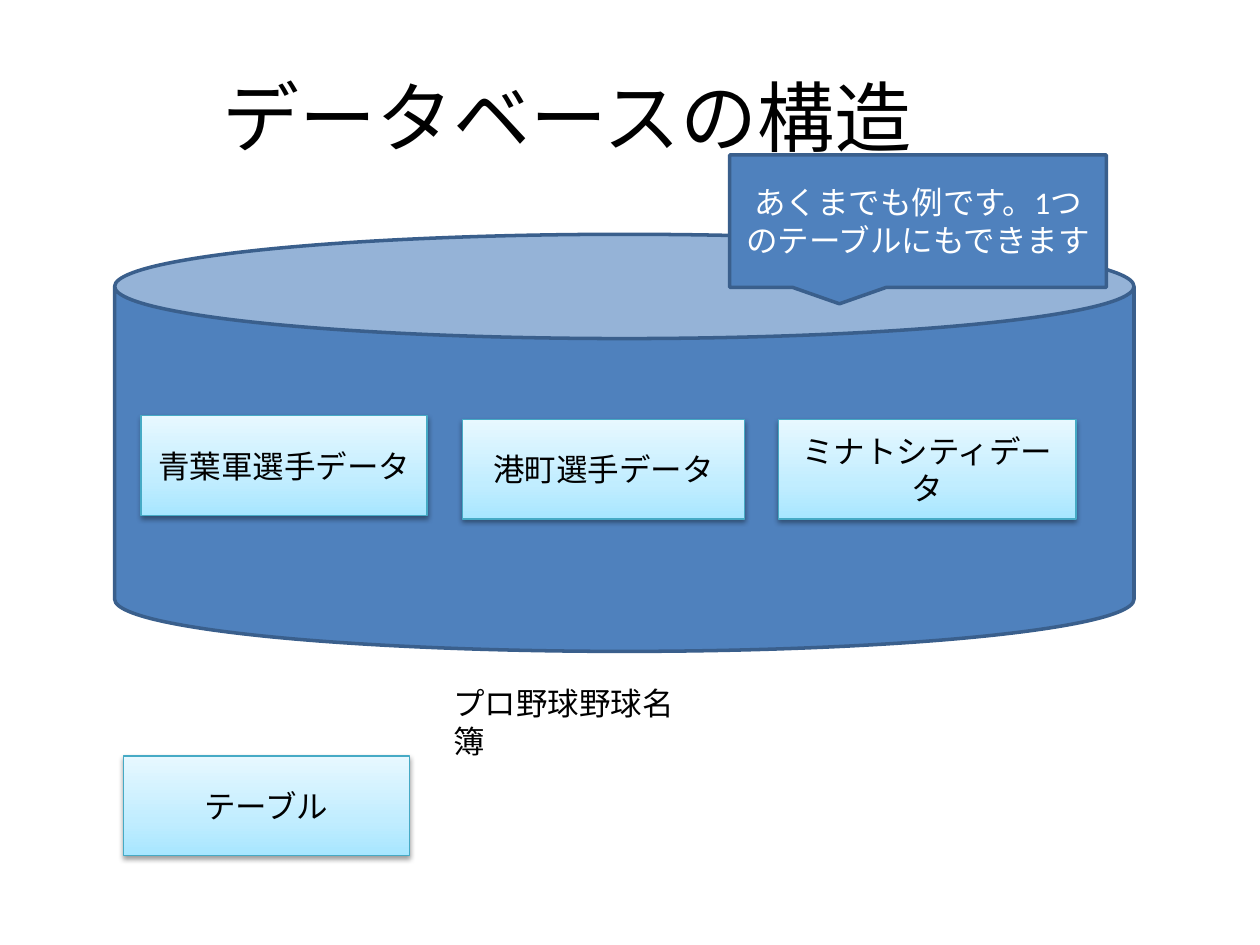
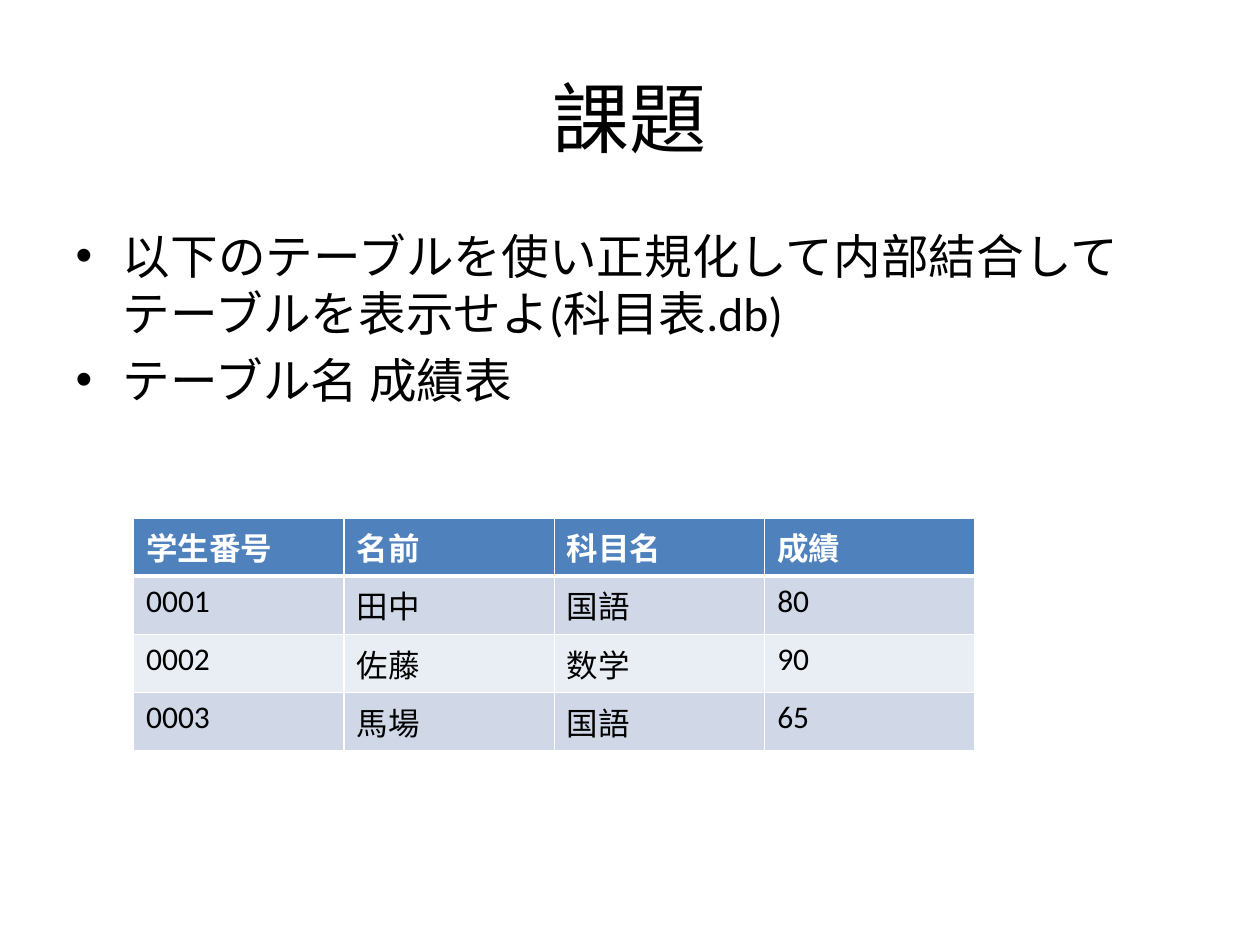
from lxml.etree import SubElement
from pptx import Presentation
from pptx.dml.color import RGBColor
from pptx.enum.shapes import MSO_SHAPE
from pptx.enum.text import MSO_ANCHOR, MSO_AUTO_SIZE, PP_ALIGN
from pptx.oxml.ns import qn
from pptx.util import Inches, Pt

FONT = "Calibri"
COLORS = {
    "text": "000000", "white": "FFFFFF", "blue": "4F81BD", "blue_edge": "3A5F8C",
    "card_edge": "46AAC5", "odd_row": "D0D8E8", "even_row": "E9EDF4",
}
CARD_GRADIENT = [(0, "A7E6FF"), (35, "C1EDFF"), (100, "E7F8FF")]
TITLE_SIZE, BODY_SIZE, TEXT_SIZE = 44, 27.2, 18
CARD_HEIGHT = 0.79

STRUCTURE_TITLE = "データベースの構造"
DATABASE_AREA = (0.91, 1.86, 8.09, 3.31)
DATABASE_NAME = "プロ野球野球名簿"
CALLOUT = "あくまでも例です。1つのテーブルにもできます"
CARDS = [  # text, left, top, width
    ("青葉軍選手データ", 1.12, 3.3, 2.27),
    ("港町選手データ", 3.67, 3.33, 2.24),
    ("ミナトシティデータ", 6.18, 3.33, 2.36),
    ("テーブル", 0.98, 6, 2.27),
]

TASK_TITLE = "課題"
TASKS = [
    "以下のテーブルを使い正規化して内部結合してテーブルを表示せよ(科目表.db)",
    "テーブル名 成績表",
]
GRADES = [
    ("学生番号", "名前", "科目名", "成績"),
    ("0001", "田中", "国語", "80"),
    ("0002", "佐藤", "数学", "90"),
    ("0003", "馬場", "国語", "65"),
]
COLUMN_WIDTH, ROW_HEIGHT = 1.67, 0.41


def rgb(name):
    return RGBColor.from_string(COLORS[name])


def add_color(parent, value):
    return SubElement(parent, qn("a:srgbClr"), val=value)


def write(frame, paragraphs, size=TEXT_SIZE, color="text", align=None, bold=None):
    frame.text = "\n".join(paragraphs)
    for para in frame.paragraphs:
        para.alignment = align
        for span in para.runs:
            span.font.name = FONT
            span.font.size = Pt(size)
            span.font.bold = bold
            span.font.color.rgb = rgb(color)


def place(shape, left, top, width, height):
    shape.left, shape.top = Inches(left), Inches(top)
    shape.width, shape.height = Inches(width), Inches(height)


def add_titled_slide(deck, layout, title, left, top):
    page = deck.slides.add_slide(deck.slide_layouts[layout])
    place(page.shapes.title, left, top, 9, 1.25)
    frame = page.shapes.title.text_frame
    write(frame, [title], TITLE_SIZE, align=PP_ALIGN.CENTER)
    frame.vertical_anchor = MSO_ANCHOR.MIDDLE
    frame.auto_size = MSO_AUTO_SIZE.NONE
    return page


def add_box(page, kind, area, edge, edge_width, text=None, color="text"):
    box = page.shapes.add_shape(kind, *map(Inches, area))
    box.shadow.inherit = False
    box.fill.solid()
    box.fill.fore_color.rgb = rgb("blue")
    box.line.color.rgb = rgb(edge)
    box.line.width = Pt(edge_width)
    if text:
        write(box.text_frame, [text], color=color, align=PP_ALIGN.CENTER)
        box.text_frame.vertical_anchor = MSO_ANCHOR.MIDDLE
    return box


def add_card(page, text, left, top, width):
    """Add a box with a pale upward gradient and a soft shadow below."""
    area = (left, top, width, CARD_HEIGHT)
    card = add_box(page, MSO_SHAPE.RECTANGLE, area, "card_edge", 0.75, text)
    card.fill.gradient()
    card.fill.gradient_angle = 90
    properties = card._element.spPr
    stops = properties.find(qn("a:gradFill")).find(qn("a:gsLst"))
    for stop in list(stops):
        stops.remove(stop)
    for position, value in CARD_GRADIENT:
        add_color(SubElement(stops, qn("a:gs"), pos=str(position * 1000)), value)
    shadow = SubElement(
        properties.find(qn("a:effectLst")), qn("a:outerShdw"),
        blurRad=str(Pt(3.1)), dist=str(Pt(1.6)), dir="5400000", rotWithShape="0")
    SubElement(add_color(shadow, COLORS["text"]), qn("a:alpha"), val="38000")


def set_borders(cell, bottom_width):
    properties = cell._tc.get_or_add_tcPr()
    for side, width in (("L", 1), ("R", 1), ("T", 1), ("B", bottom_width)):
        line = SubElement(properties, qn(f"a:ln{side}"), w=str(Pt(width)))
        add_color(SubElement(line, qn("a:solidFill")), COLORS["white"])


def add_grades(page, left, top):
    rows, columns = len(GRADES), len(GRADES[0])
    table = page.shapes.add_table(
        rows, columns, Inches(left), Inches(top),
        Inches(columns * COLUMN_WIDTH), Inches(rows * ROW_HEIGHT)).table
    for row, values in enumerate(GRADES):
        header = row == 0
        fill = "blue" if header else "odd_row" if row % 2 else "even_row"
        for column, value in enumerate(values):
            cell = table.cell(row, column)
            write(cell.text_frame, [value], color="white" if header else "text", bold=header)
            set_borders(cell, 3 if header else 1)
            cell.fill.solid()
            cell.fill.fore_color.rgb = rgb(fill)


def build_structure(deck):
    page = add_titled_slide(deck, 5, STRUCTURE_TITLE, 0, 0.29)
    add_box(page, MSO_SHAPE.CAN, DATABASE_AREA, "blue_edge", 2)
    for card in CARDS:
        add_card(page, *card)
    label = page.shapes.add_textbox(*map(Inches, (3.5, 5.38, 2.16, 0.4)))
    label.text_frame.word_wrap = True
    write(label.text_frame, [DATABASE_NAME])
    add_box(page, MSO_SHAPE.RECTANGULAR_CALLOUT, (5.79, 1.23, 2.99, 1.05),
            "blue_edge", 2, CALLOUT, "white")


def build_task(deck):
    page = add_titled_slide(deck, 1, TASK_TITLE, 0.5, 0.3)
    body = page.placeholders[1]
    place(body, 0.5, 1.75, 9, 1.37)
    write(body.text_frame, TASKS, BODY_SIZE)
    body.text_frame.auto_size = MSO_AUTO_SIZE.NONE
    add_grades(page, 1.06, 4.11)


def main():
    deck = Presentation()
    deck.slide_width, deck.slide_height = Inches(10), Inches(7.5)
    build_structure(deck)
    build_task(deck)
    deck.save("out.pptx")


if __name__ == "__main__":
    main()
